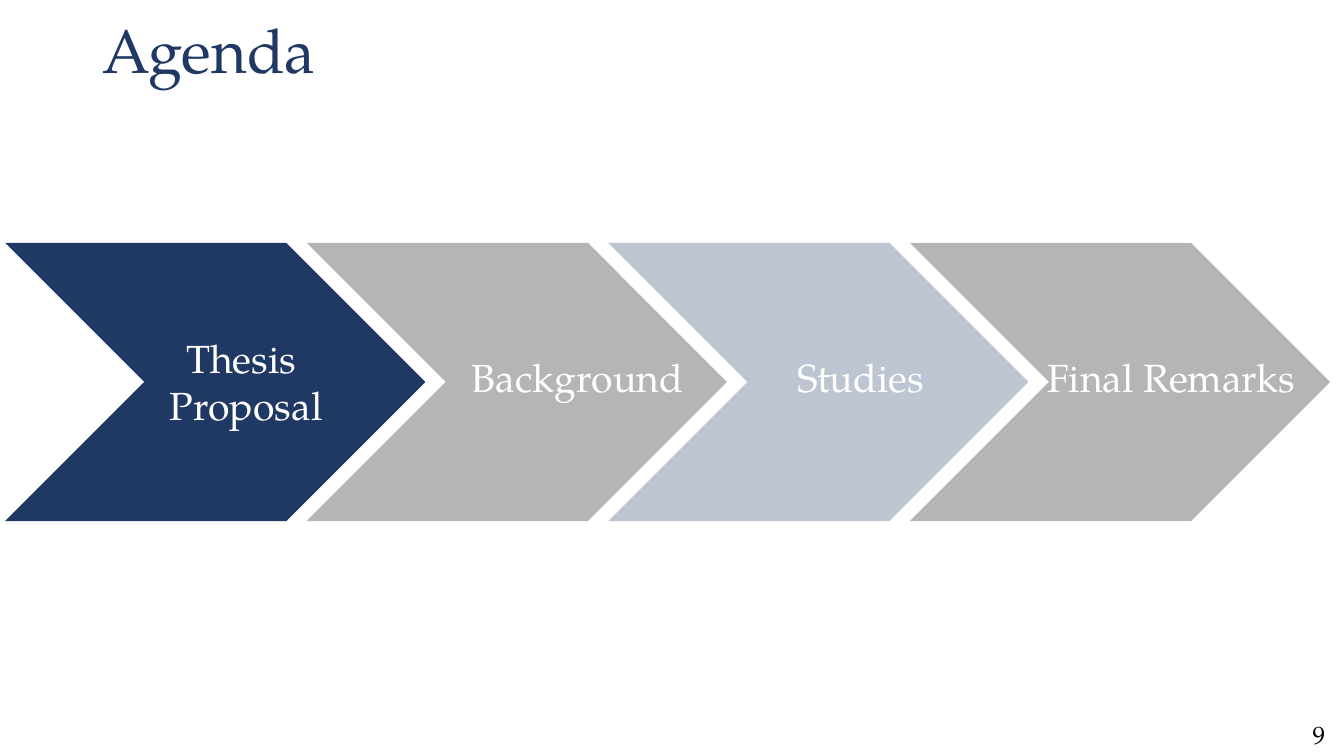
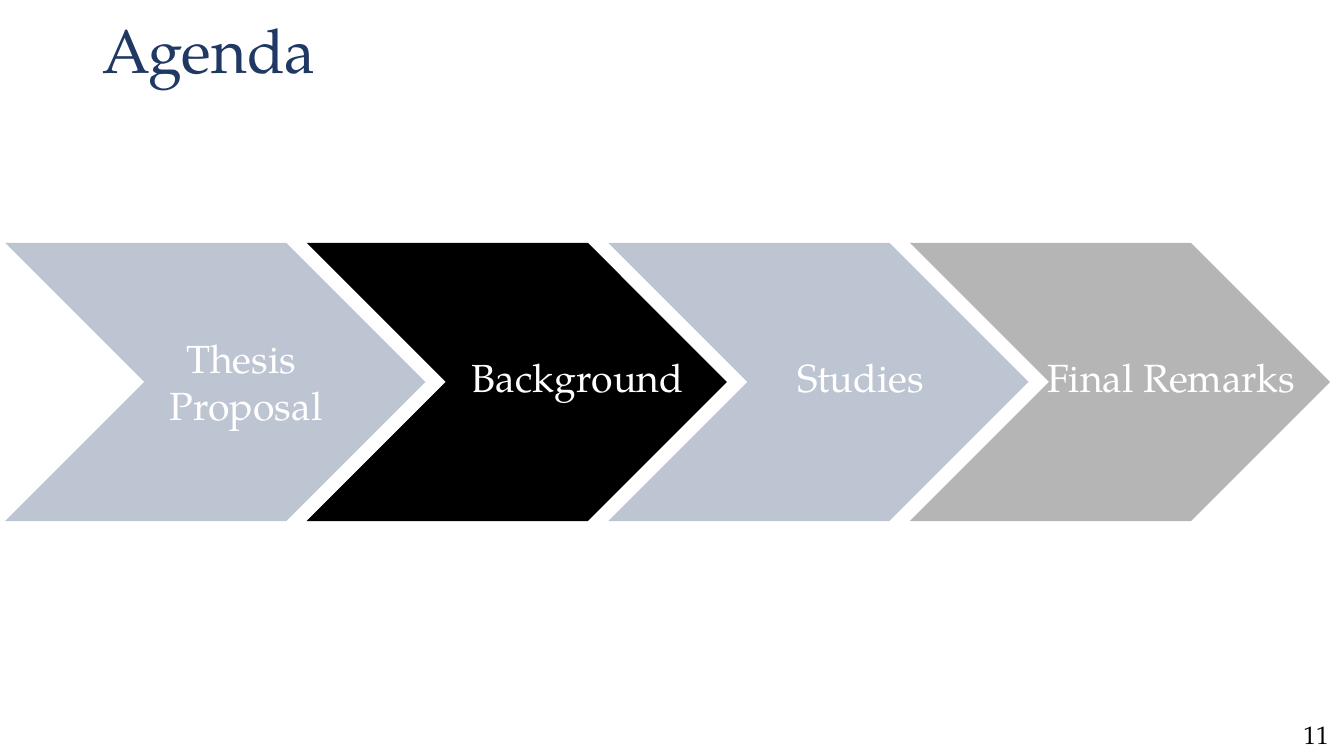
from lxml import etree
from pptx import Presentation
from pptx.dml.color import RGBColor
from pptx.enum.shapes import MSO_SHAPE
from pptx.enum.text import MSO_ANCHOR, MSO_AUTO_SIZE, PP_ALIGN
from pptx.oxml.ns import qn
from pptx.util import Cm, Pt

TITLE = "Agenda"
# Lines of the label, its left and top in cm, colour of the chevron
SECTIONS = [
    (["Thesis ", "Proposal"], 1.55, 8.31, "navy"),
    (["Background"], 9.91, 8.79, "black"),
    (["Studies"], 17.04, 8.79, "navy"),
    (["Final Remarks"], 24.87, 8.79, "black"),
]
# Page number and index of the current section
AGENDAS = [(9, 0), (11, 1)]

COLORS = {"navy": "203864", "black": "000000", "white": "FFFFFF"}
FONT = "TeX Gyre Pagella"
FADED_OPACITY = 29

SLIDE_WIDTH, SLIDE_HEIGHT = 33.87, 19.05
CHEVRON_LEFT, CHEVRON_TOP, CHEVRON_STEP = 0.13, 6.12, 7.6
CHEVRON_WIDTH, CHEVRON_HEIGHT = 10.59, 7.01
LABEL_WIDTH, LINE_HEIGHT, LABEL_PADDING = 9.3, 1.19, 0.26
PAGE_TOP, PAGE_HEIGHT = 18.01, 1.02


def write(frame, lines, *, size, color, align=PP_ALIGN.LEFT, spacing=None,
          anchor=MSO_ANCHOR.TOP, auto_size=MSO_AUTO_SIZE.SHAPE_TO_FIT_TEXT):
    frame.word_wrap = True
    frame.auto_size = auto_size
    frame.vertical_anchor = anchor
    for index, line in enumerate(lines):
        paragraph = frame.add_paragraph() if index else frame.paragraphs[0]
        paragraph.alignment = align
        paragraph.line_spacing = spacing
        run = paragraph.add_run()
        run.text = line
        run.font.size = Pt(size)
        run.font.name = FONT
        run.font.color.rgb = RGBColor.from_string(COLORS[color])


def add_title(slide):
    title = slide.shapes.title
    title.left, title.top = Cm(2.33), Cm(0.38)
    title.width, title.height = Cm(29.21), Cm(3.23)
    write(title.text_frame, [TITLE], size=44, color="navy", spacing=0.9,
          auto_size=MSO_AUTO_SIZE.NONE)


def add_chevron(slide, position, color, is_current):
    chevron = slide.shapes.add_shape(
        MSO_SHAPE.CHEVRON, Cm(CHEVRON_LEFT + position * CHEVRON_STEP),
        Cm(CHEVRON_TOP), Cm(CHEVRON_WIDTH), Cm(CHEVRON_HEIGHT))
    chevron.shadow.inherit = False
    chevron.line.fill.background()
    chevron.fill.solid()
    chevron.fill.fore_color.rgb = RGBColor.from_string(COLORS[color])
    if not is_current:
        rgb = chevron.fill._xPr.find(f".//{qn('a:srgbClr')}")
        etree.SubElement(rgb, qn("a:alpha"), val=str(FADED_OPACITY * 1000))


def add_label(slide, lines, left, top):
    height = LINE_HEIGHT * len(lines) + LABEL_PADDING
    label = slide.shapes.add_textbox(Cm(left), Cm(top), Cm(LABEL_WIDTH), Cm(height))
    write(label.text_frame, lines, size=28, color="white", align=PP_ALIGN.CENTER)


def add_page_number(slide, number):
    """Put the number against the right edge, in a box as wide as its digits need."""
    digits = str(number)
    width = 0.81 + 0.23 * len(digits)
    page = slide.shapes.add_textbox(
        Cm(SLIDE_WIDTH - width), Cm(PAGE_TOP), Cm(width), Cm(PAGE_HEIGHT))
    write(page.text_frame, [digits], size=18, color="black")


def add_agenda(deck, number, current):
    slide = deck.slides.add_slide(deck.slide_layouts[5])
    add_title(slide)
    for position, (*_, color) in enumerate(SECTIONS):
        add_chevron(slide, position, color, position == current)
    for lines, left, top, _ in SECTIONS:
        add_label(slide, lines, left, top)
    add_page_number(slide, number)


def main():
    deck = Presentation()
    deck.slide_width, deck.slide_height = Cm(SLIDE_WIDTH), Cm(SLIDE_HEIGHT)
    for number, current in AGENDAS:
        add_agenda(deck, number, current)
    deck.save("out.pptx")


if __name__ == "__main__":
    main()
